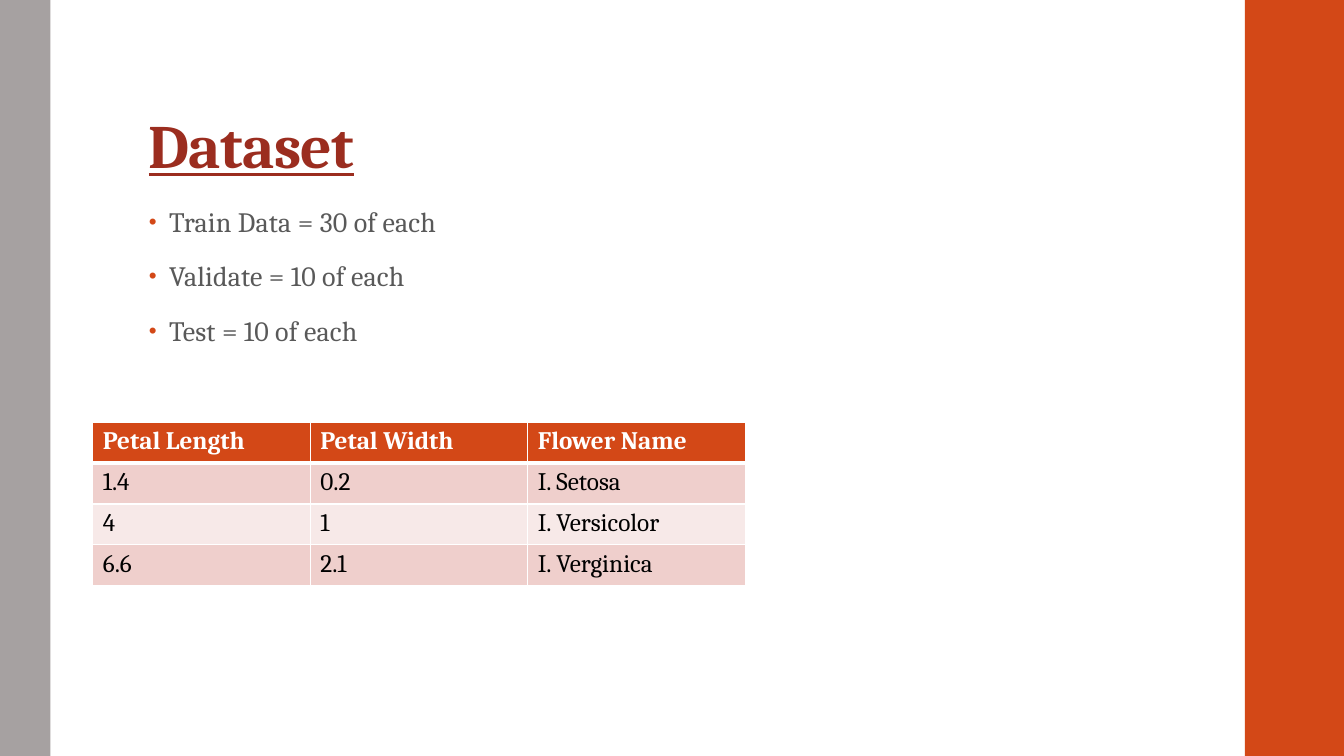
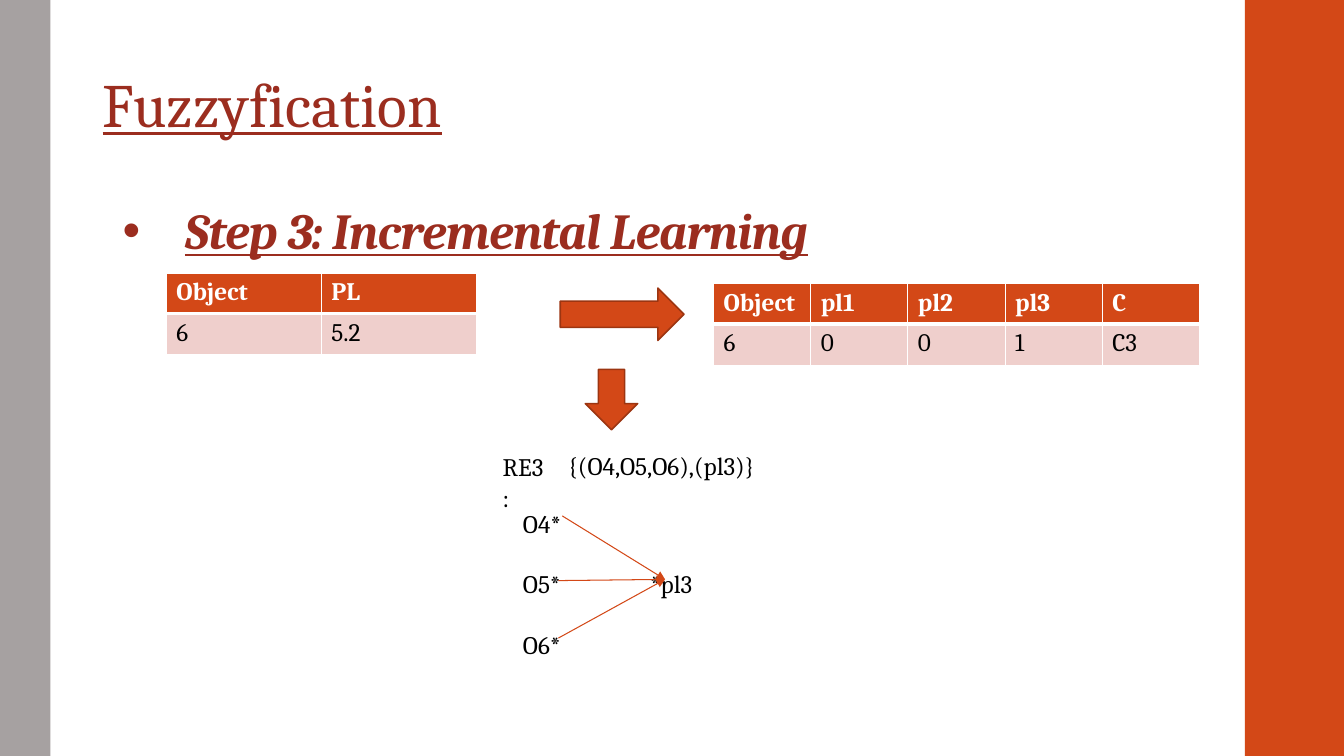
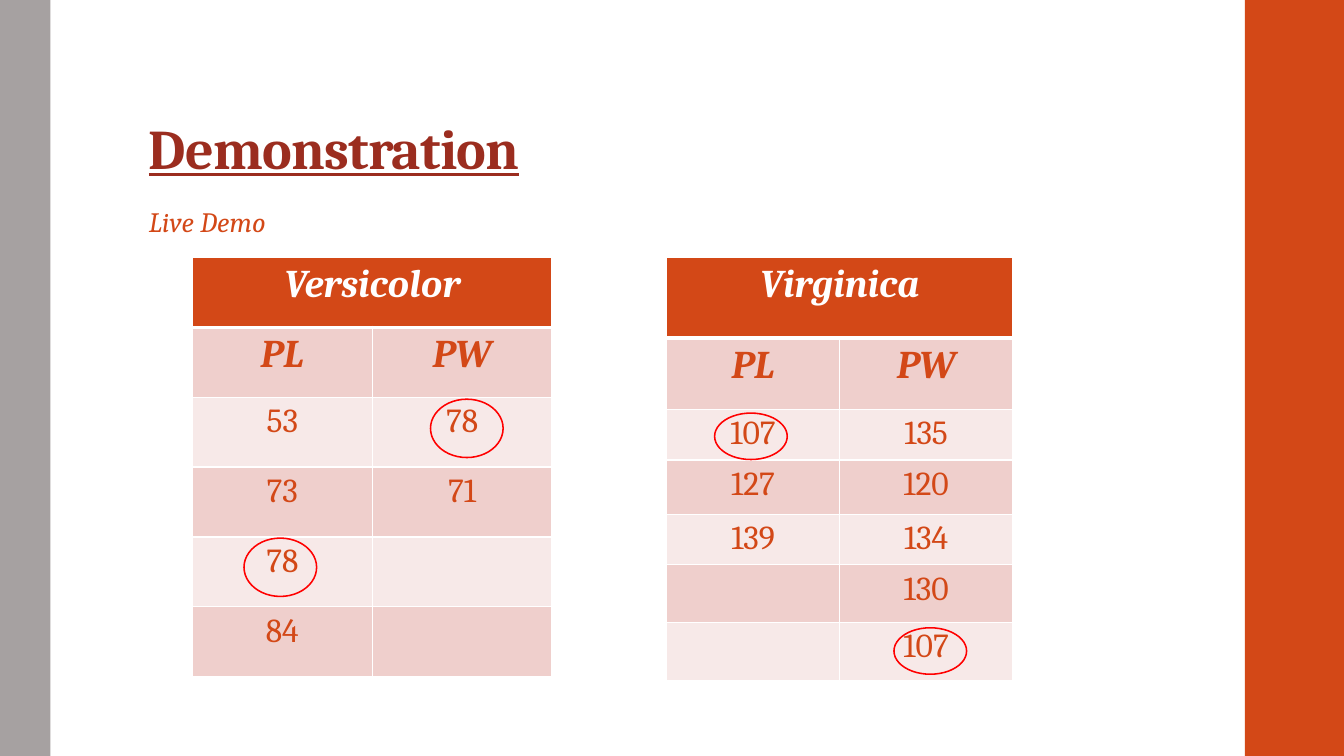
"""Builds three slides on flower data: dataset, fuzzyfication step and demonstration."""
from lxml import etree
from pptx import Presentation
from pptx.dml.color import RGBColor
from pptx.enum import shapes, text
from pptx.oxml.ns import qn
from pptx.util import Cm, Pt

FONT = "Cambria"
ORANGE = RGBColor(0xD3, 0x48, 0x17)
DARK_ORANGE = RGBColor(0x9C, 0x35, 0x11)
GREY = RGBColor(0xA6, 0xA1, 0xA1)
BRICK = RGBColor(0x9B, 0x2D, 0x1F)
TEXT_GREY = RGBColor(0x59, 0x59, 0x59)
ROSE = RGBColor(0xEF, 0xCF, 0xCC)
PALE_ROSE = RGBColor(0xF7, 0xE9, 0xE8)
RED = RGBColor(0xFF, 0, 0)
BLACK = RGBColor(0, 0, 0)
WHITE = RGBColor(0xFF, 0xFF, 0xFF)

WIDTH, HEIGHT = 33.87, 19.05
BANDS = [(31.37, 2.5, ORANGE), (0, 1.27, GREY)]
TITLE_PLACE = (3.5, 0.81, 26.92, 3.89)
BODY_PLACE = (3.5, 5.08, 23.88, 12.09)
TITLE_INSETS = (0.25, 0.08, 0.25, 0.13)
INSETS = (0.25, 0.13, 0.25, 0.13)

TITLE_FONT = dict(color=BRICK, underline=True, spacing=-0.5)
BODY_FONT = dict(size=20, color=TEXT_GREY, spacing=0.1)
LABEL_FONT = dict(size=18, color=BLACK)
HEAD_FONT = dict(size=18, color=WHITE, bold=True)
CAPTION_FONT = dict(size=28, color=WHITE, bold=True, italic=True)
COLUMN_FONT = dict(CAPTION_FONT, color=ORANGE)
NUMBER_FONT = dict(size=24, color=ORANGE)
BODY_SPACING = dict(line=0.95, before=14, after=2)

SPLITS = ["Train Data = 30 of each", "Validate = 10 of each", "Test = 10 of each"]
SAMPLES = [
    ("Petal Length", "Petal Width", "Flower Name"),
    ("1.4", "0.2", "I. Setosa"),
    ("4", "1", "I. Versicolor"),
    ("6.6", "2.1", "I. Verginica"),
]
MEASURED = [("Object", "PL"), ("6", "5.2")]
FUZZY = [("Object", "pl1", "pl2", "pl3", "C"), ("6", "0", "0", "1", "C3")]
ARROWS = [
    (shapes.MSO_SHAPE.RIGHT_ARROW, (14.12, 7.26, 3.12, 1.32)),
    (shapes.MSO_SHAPE.DOWN_ARROW, (14.75, 9.31, 1.32, 1.52)),
]
RULE_LABELS = [
    (["RE3:"], (12.42, 11.25, 1.68, 1.02)),
    (["{(O4,O5,O6),(pl3)}"], (14.07, 11.23, 5.23, 1.02)),
    (["O4*", "O5*\t*pl3", "O6*"], (12.93, 12.67, 5.05, 4.88)),
]
LINK_STARTS = [(14.17, 13), (14.07, 14.63), (14.07, 16.08)]
LINK_END = (16.76, 14.6)
VERSICOLOR = [
    ("Versicolor", ""), ("PL", "PW"),
    ("53", "78"), ("73", "71"), ("78", ""), ("84", ""),
]
VIRGINICA = [
    ("Virginica", ""), ("PL", "PW"),
    ("107", "135"), ("127", "120"), ("139", "134"), ("", "130"), ("", "107"),
]
VIRGINICA_HEIGHTS = [2.03, 1.8, 1.22, 1.37, 1.22, 1.45, 1.47]
CIRCLES = [
    (6.15, 13.56, 1.83, 1.47), (10.85, 10.06, 1.83, 1.47),
    (18.01, 10.41, 1.83, 1.17), (22.53, 15.82, 1.83, 1.17),
]


def add_span(para, words, size, color, bold=False, italic=False, underline=False, spacing=0):
    span = para.add_run()
    span.text = words
    font = span.font
    font.name, font.size = FONT, Pt(size)
    font.bold, font.italic, font.underline = bold, italic, underline
    font.color.rgb = color
    if spacing:
        span._r.get_or_add_rPr().set("spc", str(round(spacing * 100)))


def add_bullet(para, indent, color=None, percent=100):
    props = para._p.get_or_add_pPr()
    props.set("marL", str(Cm(indent)))
    props.set("indent", str(-Cm(indent)))
    if color is not None:
        etree.SubElement(etree.SubElement(props, qn("a:buClr")), qn("a:srgbClr"), val=str(color))
    etree.SubElement(props, qn("a:buSzPct"), val=str(percent * 1000))
    etree.SubElement(props, qn("a:buFont"), typeface="Arial")
    etree.SubElement(props, qn("a:buChar"), char="•")


def add_tab(para, position):
    tabs = etree.SubElement(para._p.get_or_add_pPr(), qn("a:tabLst"))
    etree.SubElement(tabs, qn("a:tab"), pos=str(Cm(position)), algn="l")


def add_text(page, lines, place, font, insets=INSETS, anchor=text.MSO_ANCHOR.TOP,
             line=1.0, before=0, after=0, bullet=None):
    frame = page.shapes.add_textbox(*map(Cm, place)).text_frame
    frame.word_wrap = True
    frame.vertical_anchor = anchor
    (frame.margin_left, frame.margin_top,
     frame.margin_right, frame.margin_bottom) = map(Cm, insets)
    for index, words in enumerate(lines):
        para = frame.add_paragraph() if index else frame.paragraphs[0]
        para.line_spacing = line
        para.space_before, para.space_after = Pt(before), Pt(after)
        if bullet:
            add_bullet(para, **bullet)
        if "\t" in words:
            add_tab(para, 3.2)
        add_span(para, words, **font)


def add_title(page, words, place=TITLE_PLACE, bullet=None, **font):
    add_text(page, [words], place, dict(TITLE_FONT, **font), TITLE_INSETS,
             text.MSO_ANCHOR.BOTTOM, line=0.9, bullet=bullet)


def add_figure(page, kind, place, fill=None, line=None):
    figure = page.shapes.add_shape(kind, *map(Cm, place))
    figure.shadow.inherit = False
    if fill is None:
        figure.fill.background()
    else:
        figure.fill.solid()
        figure.fill.fore_color.rgb = fill
    if line is None:
        figure.line.fill.background()
    else:
        figure.line.color.rgb = line
        figure.line.width = Pt(1.1)


def add_link(page, start, end):
    link = page.shapes.add_connector(shapes.MSO_CONNECTOR.STRAIGHT, *map(Cm, start + end))
    link.line.color.rgb = ORANGE
    link.line.width = Pt(0.75)
    etree.SubElement(link.line._get_or_add_ln(), qn("a:tailEnd"), type="triangle")
    etree.SubElement(link._element.spPr, qn("a:effectLst"))


def set_borders(cell, top, bottom):
    props = cell._tc.get_or_add_tcPr()
    for side, width in (("L", 1), ("R", 1), ("T", top), ("B", bottom)):
        border = etree.SubElement(props, qn("a:ln" + side), w=str(Pt(width)))
        fill = etree.SubElement(border, qn("a:solidFill"))
        etree.SubElement(fill, qn("a:srgbClr"), val=str(WHITE))


def add_table(page, rows, left, top, column, heights, fonts, centred=False, caption=False):
    count = len(rows[0])
    table = page.shapes.add_table(len(rows), count, Cm(left), Cm(top),
                                  Cm(column * count), Cm(sum(heights))).table
    for item in table.columns:
        item.width = Cm(column)
    if caption:
        table.cell(0, 0).merge(table.cell(0, count - 1))
    for index, values in enumerate(rows):
        table.rows[index].height = Cm(heights[index])
        font = fonts[min(index, len(fonts) - 1)]
        for place, words in enumerate(values):
            cell = table.cell(index, place)
            set_borders(cell, 3 if index == 1 else 1, 3 if index == 0 else 1)
            cell.fill.solid()
            cell.fill.fore_color.rgb = (PALE_ROSE, ROSE)[index % 2] if index else ORANGE
            para = cell.text_frame.paragraphs[0]
            if centred:
                para.alignment = text.PP_ALIGN.CENTER
            if words:
                add_span(para, words, **font)
            else:
                para.font.size = Pt(18)


def add_page(deck):
    page = deck.slides.add_slide(deck.slide_layouts[6])
    for left, width, color in BANDS:
        add_figure(page, shapes.MSO_SHAPE.RECTANGLE, (left, 0, width, HEIGHT), color)
    return page


def build_dataset(page):
    add_title(page, "Dataset", size=44, bold=True)
    add_text(page, SPLITS, BODY_PLACE, BODY_FONT, **BODY_SPACING,
             bullet=dict(indent=0.51, color=ORANGE, percent=80))
    add_table(page, SAMPLES, 2.34, 10.64, 5.48, [1.03] * 4, [HEAD_FONT, LABEL_FONT])


def build_fuzzyfication(page):
    add_title(page, "Step 3: Incremental Learning", (2.84, 3.02, 29.21, 3.68),
              bullet=dict(indent=1.57), size=36, bold=True, italic=True)
    fonts = [HEAD_FONT, LABEL_FONT]
    add_table(page, MEASURED, 4.19, 6.88, 3.91, [0.84, 1.03], fonts)
    add_table(page, FUZZY, 17.98, 7.14, 2.45, [1.03] * 2, fonts)
    for kind, place in ARROWS:
        add_figure(page, kind, place, ORANGE, DARK_ORANGE)
    for lines, place in RULE_LABELS:
        add_text(page, lines, place, LABEL_FONT, before=21.6 if len(lines) > 1 else 0)
    for start in LINK_STARTS:
        add_link(page, start, LINK_END)
    add_text(page, ["Fuzzyfication"], (2.34, 0.86, 29.21, 3.68),
             dict(TITLE_FONT, size=44, spacing=0), anchor=text.MSO_ANCHOR.MIDDLE, line=0.9)


def build_demonstration(page):
    add_title(page, "Demonstration", size=40, bold=True)
    add_text(page, ["Live Demo"], BODY_PLACE, dict(BODY_FONT, color=ORANGE, italic=True),
             **BODY_SPACING)
    fonts = [CAPTION_FONT, COLUMN_FONT, NUMBER_FONT]
    for rows, left, column, heights in (
        (VERSICOLOR, 4.85, 4.53, [1.76] * 6),
        (VIRGINICA, 16.8, 4.36, VIRGINICA_HEIGHTS),
    ):
        add_table(page, rows, left, 6.49, column, heights, fonts, centred=True, caption=True)
    for place in CIRCLES:
        add_figure(page, shapes.MSO_SHAPE.OVAL, place, line=RED)


def main():
    deck = Presentation()
    deck.slide_width, deck.slide_height = Cm(WIDTH), Cm(HEIGHT)
    for build in (build_dataset, build_fuzzyfication, build_demonstration):
        build(add_page(deck))
    deck.save("out.pptx")


if __name__ == "__main__":
    main()
